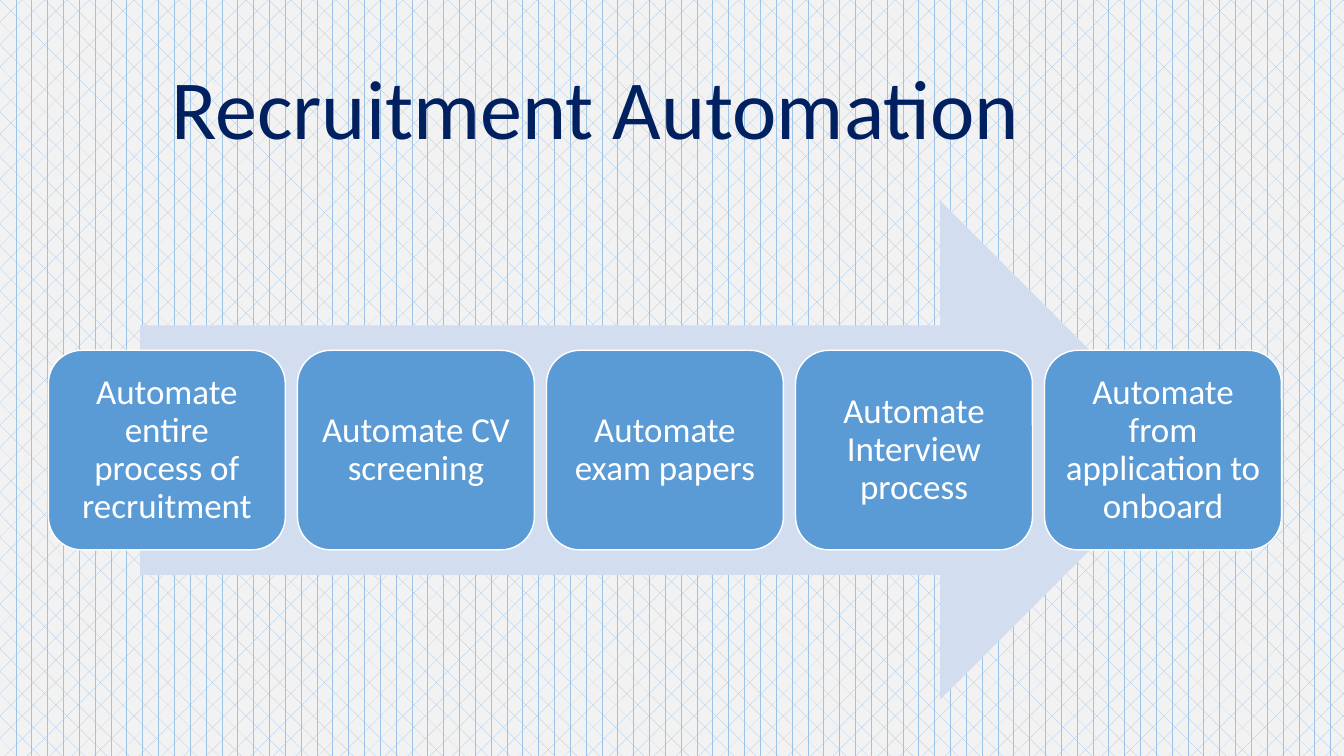
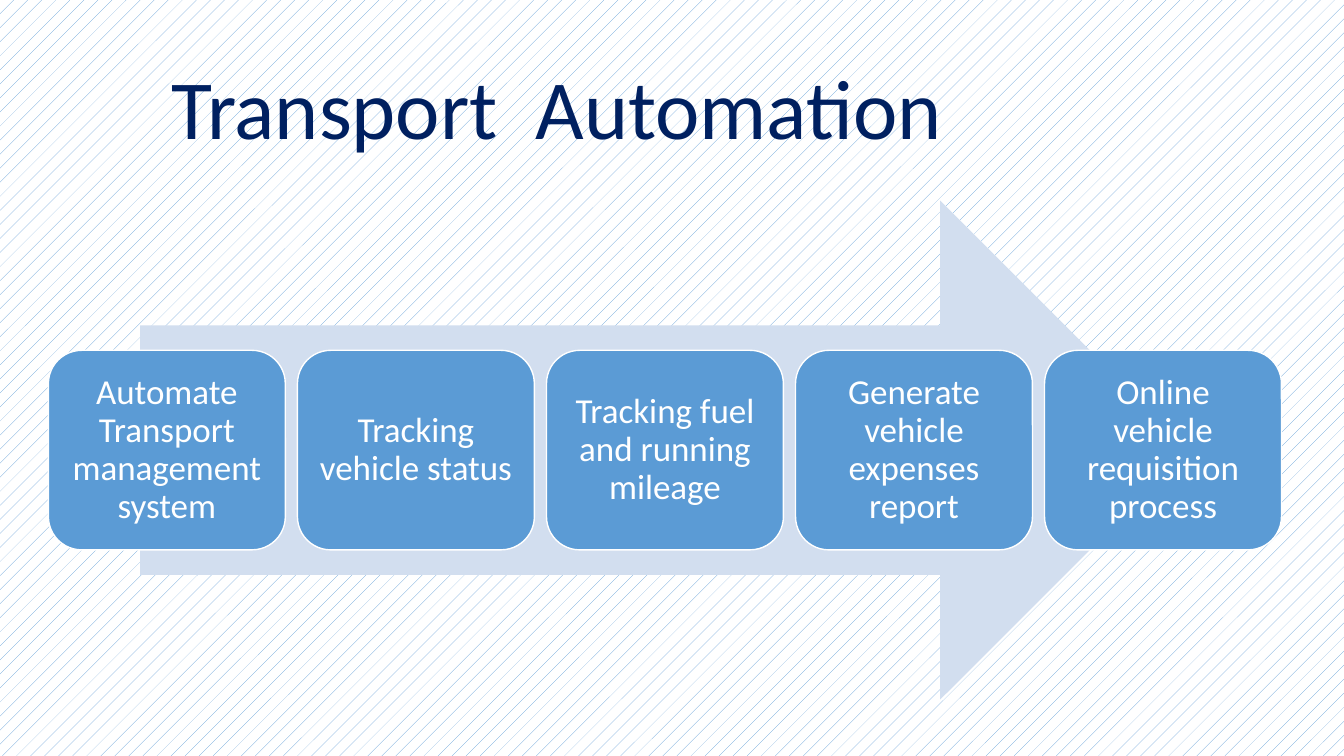
from pptx import Presentation
from pptx.dml.color import RGBColor
from pptx.enum.dml import MSO_PATTERN
from pptx.enum.shapes import MSO_SHAPE
from pptx.enum.text import MSO_ANCHOR, PP_ALIGN
from pptx.util import Inches, Pt

ARROW, CARD = MSO_SHAPE.RIGHT_ARROW, MSO_SHAPE.ROUNDED_RECTANGLE
DIVOT, DOTS = MSO_PATTERN.DIVOT, MSO_PATTERN.PERCENT_5
MIDDLE, TOP = MSO_ANCHOR.MIDDLE, MSO_ANCHOR.TOP
CENTER, LEFT = PP_ALIGN.CENTER, PP_ALIGN.LEFT

NAVY, BLUE, LIGHT_BLUE, PALE_BLUE = "002060", "5B9BD5", "9DC3E6", "D2DEEF"
WHITE, GRAY = "FFFFFF", "F2F2F2"

SLIDE_WIDTH, SLIDE_HEIGHT = Inches(13.33), Inches(7.5)
MARGIN = Inches(0.48)
COLUMN_STEP, CARD_WIDTH = Inches(2.47), Inches(2.35)
ARROW_HEIGHT = int(SLIDE_HEIGHT * 0.66)
ARROW_TOP = Inches(1.99)
CARD_HEIGHT = int(ARROW_HEIGHT * 0.4)
CARD_TOP = ARROW_TOP + (ARROW_HEIGHT - CARD_HEIGHT) // 2

TITLE_FORMAT = {
    "frame": {"margin_left": Inches(1.1), "vertical_anchor": TOP},
    "paragraph": {"alignment": LEFT},
    "font": {"name": "Calibri", "size": Pt(60)},
}
CARD_FORMAT = {
    "frame": {
        "margin_left": Inches(0.1),
        "margin_right": Inches(0.1),
        "margin_top": Inches(0.1),
        "margin_bottom": Inches(0.1),
        "vertical_anchor": MIDDLE,
    },
    "paragraph": {"alignment": CENTER, "line_spacing": 0.9},
    "font": {"name": "Calibri", "size": Pt(25)},
}

SLIDES = [
    {
        "title": "Recruitment Automation",
        "background": (DIVOT, LIGHT_BLUE, GRAY),
        "steps": [
            "Automate entire process of recruitment",
            "Automate CV screening",
            "Automate exam papers",
            "Automate Interview process",
            "Automate from application to onboard",
        ],
    },
    {
        "title": "Transport  Automation",
        "background": (DOTS, BLUE, WHITE),
        "steps": [
            "Automate Transport management system",
            "Tracking vehicle status",
            "Tracking fuel and running mileage",
            "Generate vehicle expenses report",
            "Online vehicle requisition process",
        ],
    },
]


def color(hex_string):
    return RGBColor.from_string(hex_string)


def write_text(shape, text, text_color, text_format):
    frame = shape.text_frame
    frame.word_wrap = True
    paragraph = frame.paragraphs[0]
    run = paragraph.add_run()
    run.text = text
    run.font.color.rgb = color(text_color)
    targets = {"frame": frame, "paragraph": paragraph, "font": run.font}
    for part, values in text_format.items():
        for name, value in values.items():
            setattr(targets[part], name, value)


presentation = Presentation()
presentation.slide_width = SLIDE_WIDTH
presentation.slide_height = SLIDE_HEIGHT
blank_layout = presentation.slide_layouts[6]

for content in SLIDES:
    slide = presentation.slides.add_slide(blank_layout)
    pattern, foreground, background = content["background"]
    fill = slide.background.fill
    fill.patterned()
    fill.pattern = pattern
    fill.fore_color.rgb = color(foreground)
    fill.back_color.rgb = color(background)

    process = slide.shapes.add_group_shape()
    arrow = process.shapes.add_shape(
        ARROW, Inches(1.39), ARROW_TOP, Inches(10.41), ARROW_HEIGHT
    )
    arrow.shadow.inherit = False
    arrow.fill.solid()
    arrow.fill.fore_color.rgb = color(PALE_BLUE)
    arrow.line.fill.background()

    for column, step in enumerate(content["steps"]):
        card = process.shapes.add_shape(
            CARD, MARGIN + column * COLUMN_STEP, CARD_TOP, CARD_WIDTH, CARD_HEIGHT
        )
        card.shadow.inherit = False
        card.fill.solid()
        card.fill.fore_color.rgb = color(BLUE)
        card.line.color.rgb = color(WHITE)
        card.line.width = Pt(1)
        write_text(card, step, WHITE, CARD_FORMAT)

    title = slide.shapes.add_textbox(
        Inches(0.6), Inches(0.5), Inches(12.54), Inches(2.12)
    )
    write_text(title, content["title"], NAVY, TITLE_FORMAT)

presentation.save("out.pptx")
